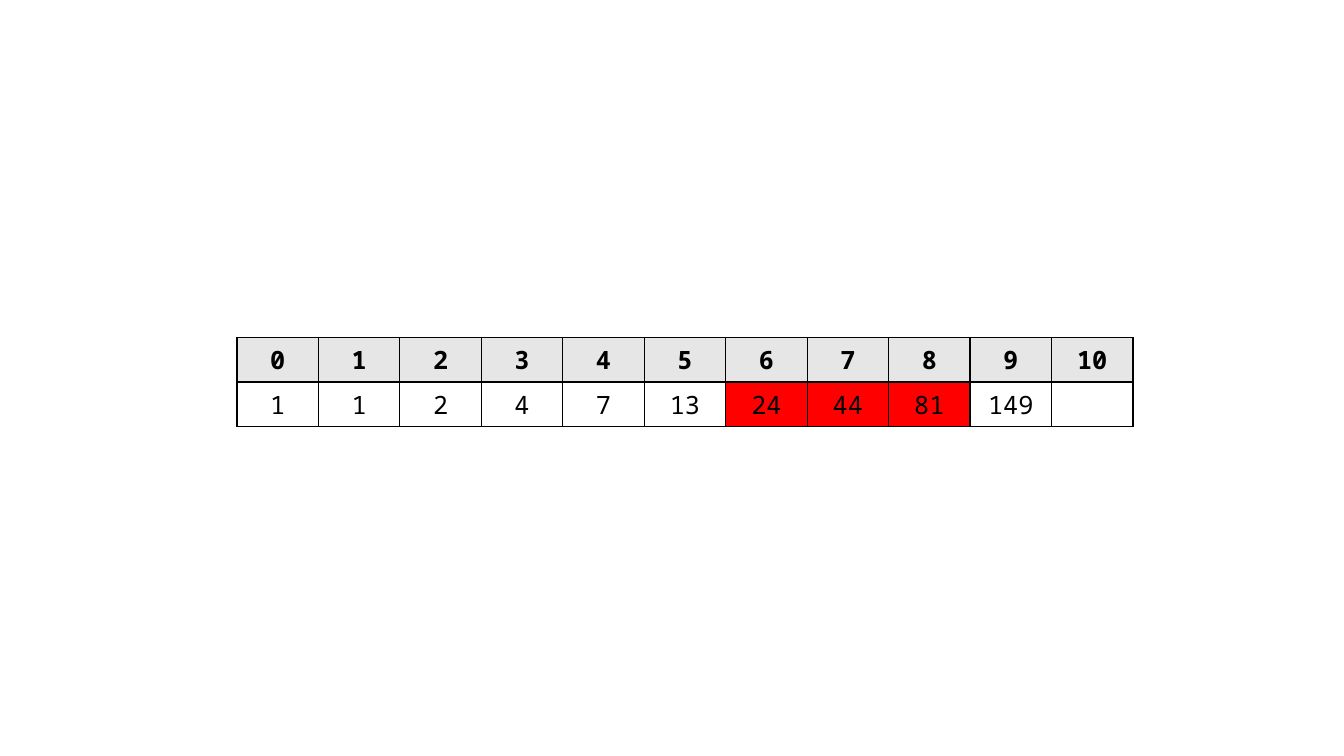
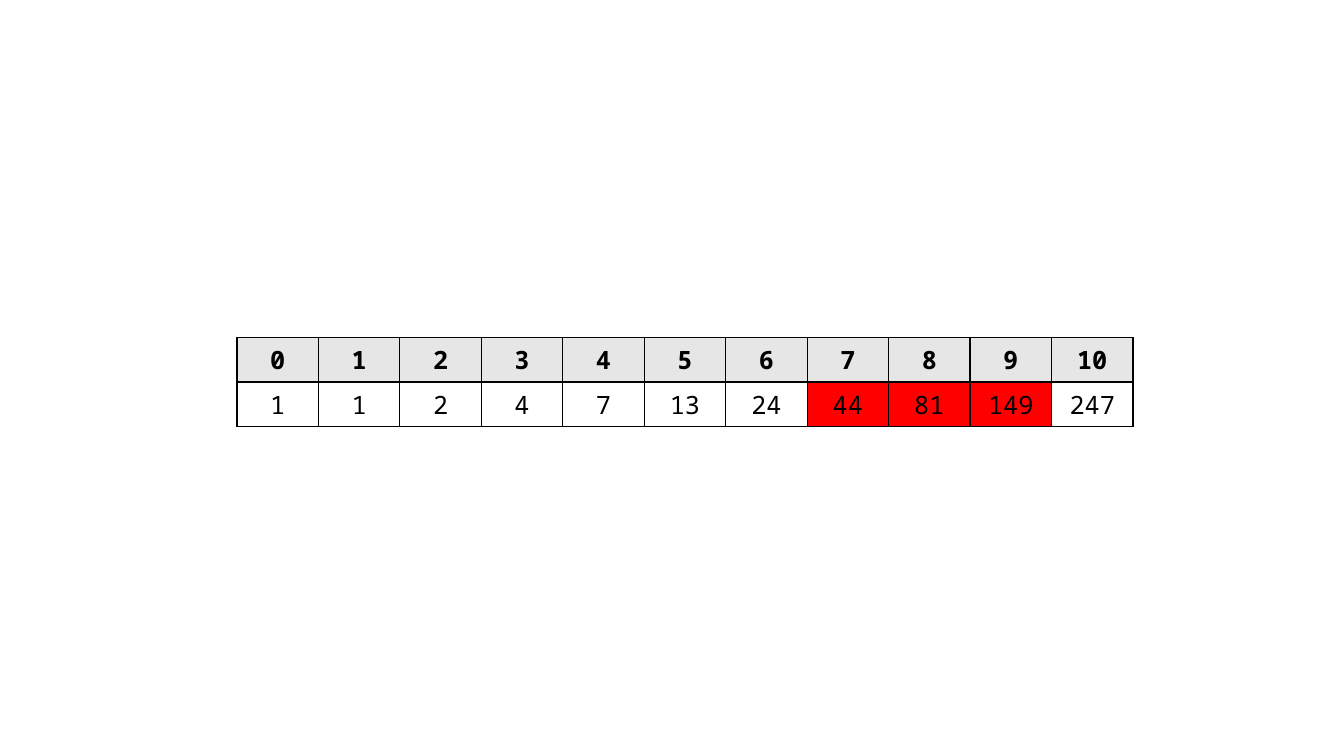
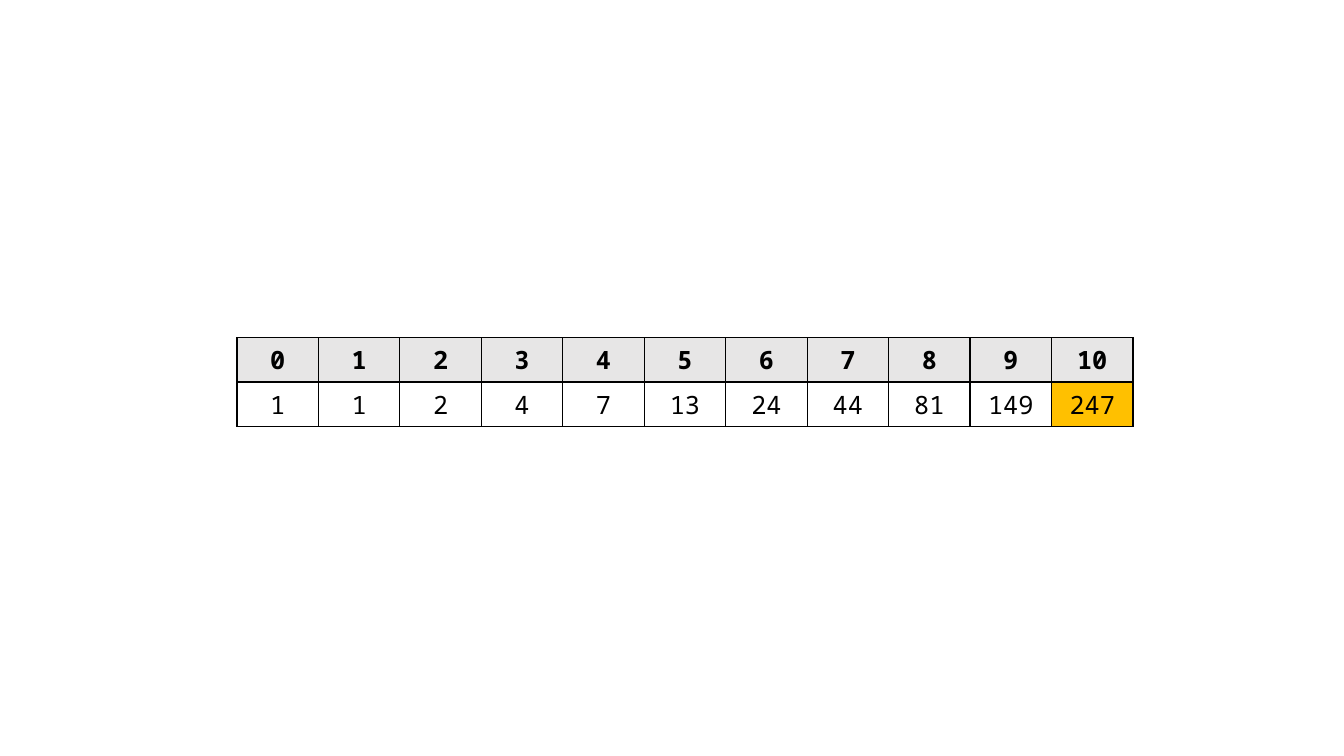
from pptx import Presentation
from pptx.dml.color import RGBColor
from pptx.enum.text import MSO_ANCHOR, PP_ALIGN
from pptx.oxml.ns import qn
from pptx.util import Inches, Pt
from lxml import etree

CENTER = PP_ALIGN.CENTER
MIDDLE = MSO_ANCHOR.MIDDLE

FONT = "Noto Sans Mono"
BLACK, WHITE, GREY = "000000", "FFFFFF", "E7E6E6"
RED, GOLD = "FF0000", "FFC000"

LEFT, TOP, WIDTH, ROW = 2.35, 3.35, 8.89, 0.44
TERMS = [1, 1, 2, 4, 7, 13, 24, 44, 81, 149, 247]

# Number of terms known, columns marked, colour of the mark
STEPS = [
    (10, range(6, 9), RED),
    (11, range(7, 10), RED),
    (11, [10], GOLD),
]


def color(code):
    return RGBColor.from_string(code)


def add_border(cell):
    """Draw a thin black line on all four sides of a cell."""
    props = cell._tc.get_or_add_tcPr()
    for side in ("lnL", "lnR", "lnT", "lnB"):
        line = etree.SubElement(props, qn("a:" + side), w=str(Pt(1)))
        fill = etree.SubElement(line, qn("a:solidFill"))
        etree.SubElement(fill, qn("a:srgbClr"), val=BLACK)


def fill_cell(cell, text, back, bold=False):
    add_border(cell)
    cell.fill.solid()
    cell.fill.fore_color.rgb = color(back)
    cell.vertical_anchor = MIDDLE
    cell.text_frame.text = text
    para = cell.text_frame.paragraphs[0]
    para.alignment = CENTER
    for run in para.runs:
        font = run.font
        font.name = FONT
        font.size = Pt(18)
        font.bold = bold
        font.color.rgb = color(BLACK)


def add_array(slide, known, marked, mark):
    """Add a table of indices above the terms known so far."""
    count = len(TERMS)
    frame = slide.shapes.add_table(
        2, count, Inches(LEFT), Inches(TOP), Inches(WIDTH), Inches(2 * ROW))
    table = frame.table
    for col, term in enumerate(TERMS):
        table.columns[col].width = Inches(WIDTH / count)
        fill_cell(table.cell(0, col), str(col), GREY, bold=True)
        text = str(term) if col < known else ""
        back = mark if col in marked else WHITE
        fill_cell(table.cell(1, col), text, back)


def main():
    deck = Presentation()
    deck.slide_width = Inches(13.33)
    deck.slide_height = Inches(7.5)
    blank = deck.slide_layouts[6]
    for known, marked, mark in STEPS:
        add_array(deck.slides.add_slide(blank), known, marked, mark)
    deck.save("out.pptx")


if __name__ == "__main__":
    main()
